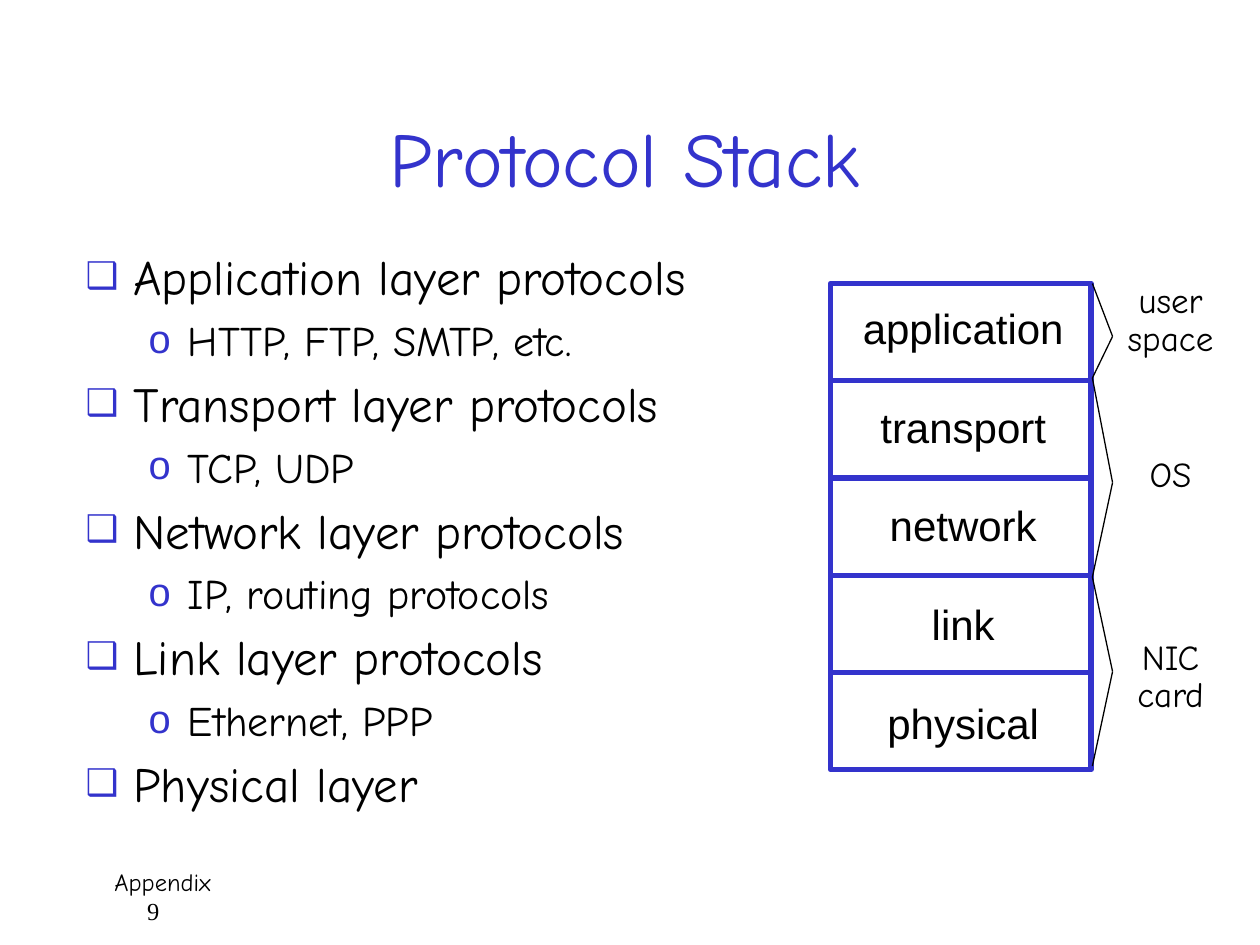
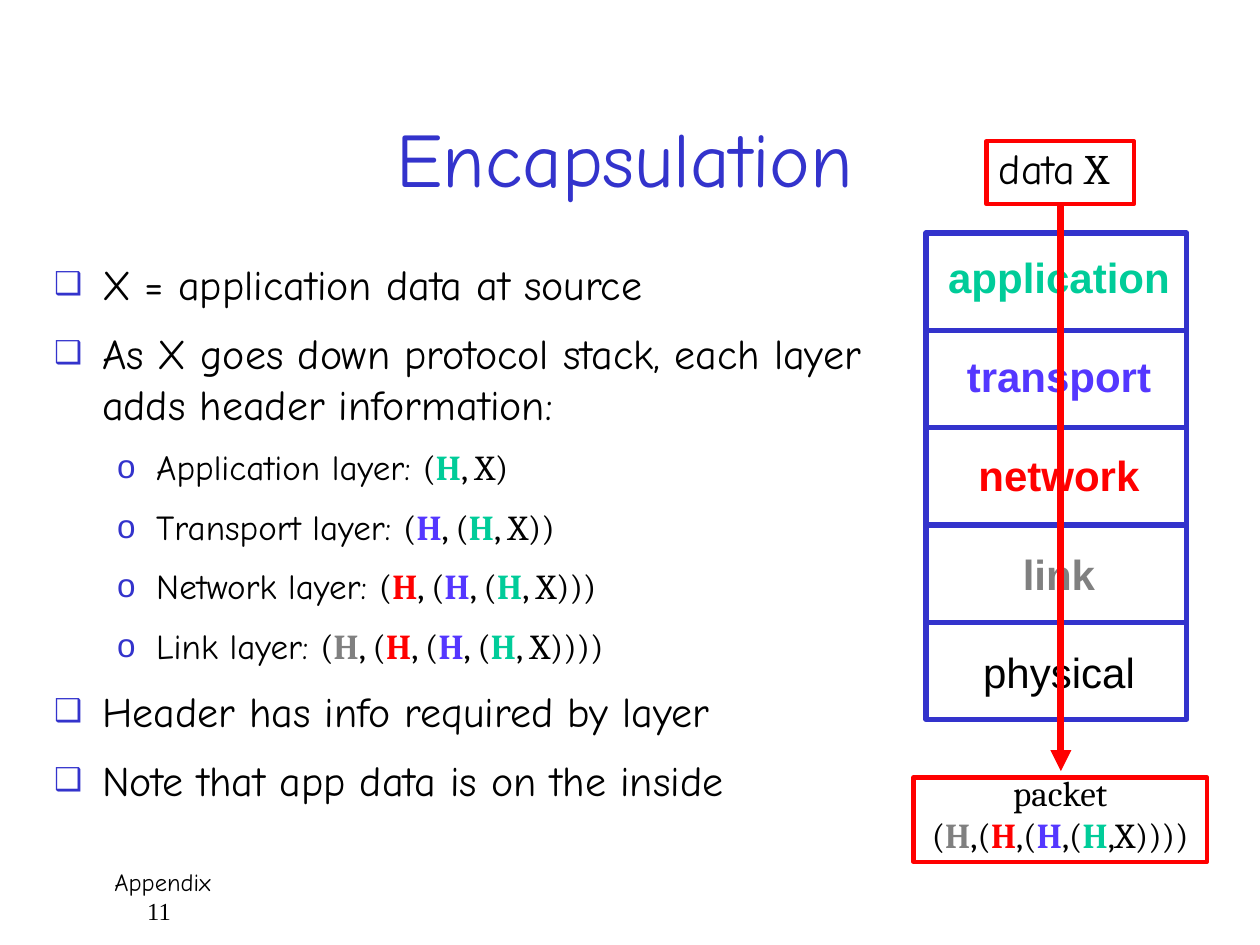
from dataclasses import dataclass
from itertools import pairwise
from typing import NamedTuple

from lxml import etree
from pptx import Presentation
from pptx.dml.color import RGBColor
from pptx.enum import shapes, text
from pptx.oxml import ns
from pptx.util import Inches, Pt


@dataclass(frozen=True)
class Theme:
    """Colours, fonts and type sizes shared by all slides."""
    blue: str = "3333CC"
    black: str = "000000"
    white: str = "FFFFFF"
    red: str = "FF0000"
    green: str = "00CC99"
    violet: str = "5437FF"
    grey: str = "808080"
    hand: str = "Comic Neue"
    sans: str = "Arial"
    serif: str = "Times New Roman"
    formula: str = "Cambria"
    title: int = 44
    large: int = 28
    medium: int = 24
    small: int = 20
    footer: int = 14


THEME = Theme()


class Span(NamedTuple):
    text: str
    color: str = THEME.black
    font: str = THEME.hand
    bold: bool = False


class Area(NamedTuple):
    left: float
    top: float
    width: float
    height: float

    def lengths(self) -> list:
        return [Inches(value) for value in self]


class Bullet(NamedTuple):
    char: str
    percent: int
    margin: float
    hanging: float


class Item(NamedTuple):
    level: int
    spans: list


class Bracket(NamedTuple):
    tip: float
    bottom: float


BULLETS = [Bullet("\u2751", 75, 0.38, 0.38), Bullet("o", 95, 0.81, 0.31)]
TITLE_AREA = Area(0.25, 0.58, 9.42, 1.33)
FOOTER_AREA = Area(0.75, 6.83, 8.58, 0.5)
LAYERS = ["application", "transport", "network", "link", "physical"]
LAYER_COLORS = [THEME.green, THEME.violet, THEME.red, THEME.grey]
STACK_WIDTH, STACK_HEIGHT = 2.07, 3.86
CENTER = text.PP_ALIGN.CENTER


# Text
def write(para, spans: list, *, size: float, align=None, spacing=None,
          before=None, after=None) -> None:
    """Fill one paragraph with formatted spans."""
    if align is not None:
        para.alignment = align
    if spacing is not None:
        para.line_spacing = spacing
    if before is not None:
        para.space_before = Pt(before)
    if after is not None:
        para.space_after = Pt(after)
    for span in spans:
        run = para.add_run()
        run.text = span.text
        run.font.size = Pt(size)
        run.font.name = span.font
        run.font.bold = span.bold
        run.font.color.rgb = RGBColor.from_string(span.color)


def add_text(page, area: Area, lines: list, *, wrap: bool = False,
             gap: float = 0, **form):
    """Add a text box with one paragraph per line, gap points apart."""
    box = page.shapes.add_textbox(*area.lengths())
    box.text_frame.word_wrap = wrap
    for index, spans in enumerate(lines):
        para = box.text_frame.paragraphs[0] if index == 0 else box.text_frame.add_paragraph()
        write(para, spans, before=gap if index else 0, **form)
    return box


def set_indent(para, margin: float, hanging: float = 0):
    props = para._p.get_or_add_pPr()
    props.set("marL", str(Inches(margin)))
    props.set("indent", str(-Inches(hanging)))
    return props


def set_bullet(para, bullet: Bullet) -> None:
    props = set_indent(para, bullet.margin, bullet.hanging)
    color = etree.SubElement(props, ns.qn("a:buClr"))
    etree.SubElement(color, ns.qn("a:srgbClr"), val=THEME.blue)
    etree.SubElement(props, ns.qn("a:buSzPct"), val=str(bullet.percent * 1000))
    etree.SubElement(props, ns.qn("a:buChar"), char=bullet.char)


def headers(count: int, comma: str) -> list[Span]:
    """Data X wrapped in the headers of the first count layers."""
    spans = []
    for index, color in enumerate(reversed(LAYER_COLORS[:count])):
        spans.append(Span(f"{comma}(" if index else "(", font=THEME.formula))
        spans.append(Span("H", color, THEME.formula, True))
    return spans + [Span(f"{comma}X" + ")" * count, font=THEME.formula)]


# Lines and boxes
def add_line(page, start: tuple, end: tuple, color: str, width: float,
             arrow: bool = False) -> None:
    line = page.shapes.add_connector(
        shapes.MSO_CONNECTOR.STRAIGHT, *(Inches(value) for value in (*start, *end)))
    line.line.color.rgb = RGBColor.from_string(color)
    line.line.width = Pt(width)
    props = line._element.spPr
    if arrow:
        etree.SubElement(props.find(ns.qn("a:ln")), ns.qn("a:tailEnd"), type="triangle")
    etree.SubElement(props, ns.qn("a:effectLst"))


def add_frame(page, area: Area, color: str, width: float, fill: str | None = None) -> None:
    frame = page.shapes.add_shape(shapes.MSO_SHAPE.RECTANGLE, *area.lengths())
    frame.shadow.inherit = False
    frame.line.color.rgb = RGBColor.from_string(color)
    frame.line.width = Pt(width)
    if fill:
        frame.fill.solid()
        frame.fill.fore_color.rgb = RGBColor.from_string(fill)
    else:
        frame.fill.background()


def add_stack(page, left: float, top: float, colors: list[str]) -> None:
    """Draw the five layers; layers with a colour are set bold."""
    area = Area(left, top, STACK_WIDTH, STACK_HEIGHT)
    add_frame(page, area, THEME.blue, 3, THEME.white)
    labels = []
    for index, name in enumerate(LAYERS):
        colored = index < len(colors)
        color = colors[index] if colored else THEME.black
        labels.append([Span(name, color, THEME.sans, colored)])
    add_text(page, Area(left + 0.02, top + 0.1, STACK_WIDTH, 3.69), labels,
             size=THEME.medium, align=CENTER, gap=THEME.medium * 1.15)
    for index in range(1, len(LAYERS)):
        y = top + index * STACK_HEIGHT / len(LAYERS)
        add_line(page, (left - 0.01, y), (left + STACK_WIDTH - 0.01, y), THEME.blue, 3)


# Shared page parts
def add_page(deck, title: str, number: int, body_area: Area, items: list[Item],
             sizes: tuple, spacing: float):
    page = deck.slides.add_slide(deck.slide_layouts[1])
    heading, body = page.placeholders
    for holder, area in ((heading, TITLE_AREA), (body, body_area)):
        holder.left, holder.top, holder.width, holder.height = area.lengths()
        holder.text_frame.auto_size = text.MSO_AUTO_SIZE.NONE
    heading.text_frame.vertical_anchor = text.MSO_ANCHOR.MIDDLE
    write(heading.text_frame.paragraphs[0], [Span(title, THEME.blue)],
          size=THEME.title, align=CENTER)

    for index, item in enumerate(items):
        para = body.text_frame.paragraphs[0] if index == 0 else body.text_frame.add_paragraph()
        para.level = item.level
        write(para, item.spans, size=sizes[item.level], spacing=spacing, after=6)
        set_bullet(para, BULLETS[item.level])

    footer = add_text(page, FOOTER_AREA,
                      [[Span("Appendix")], [Span(str(number), font=THEME.serif)]],
                      size=THEME.footer, wrap=True)
    for para, margin in zip(footer.text_frame.paragraphs, (0.06, 0.32)):
        set_indent(para, margin)
    return page


def build_protocol_stack(deck) -> None:
    topics = [("Application layer protocols", "HTTP, FTP, SMTP, etc."),
              ("Transport layer protocols", "TCP, UDP"),
              ("Network layer protocols", "IP, routing protocols"),
              ("Link layer protocols", "Ethernet, PPP"),
              ("Physical layer",)]
    items = [Item(level, [Span(words)])
             for topic in topics for level, words in enumerate(topic)]
    page = add_page(deck, "Protocol Stack", 9, Area(0.58, 2, 5.5, 4.58), items,
                    (THEME.large, THEME.medium), 0.8)
    add_stack(page, 6.59, 2.25, [])

    # Brackets that show where each layer lives
    points = [(8.67, 2.25)]
    for bracket in (Bracket(2.67, 3), Bracket(3.83, 4.58), Bracket(5.33, 6.08)):
        points += [(8.83, bracket.tip), (8.67, bracket.bottom)]
    for start, end in pairwise(points):
        add_line(page, start, end, THEME.black, 0.75)
    for words, top in ((("user", "space"), 2.2), (("OS",), 3.58), (("NIC", "card"), 5.03)):
        add_text(page, Area(8.83, top, 0.92, 0.1 + 0.35 * len(words)),
                 [[Span(word)] for word in words],
                 size=THEME.small, align=CENTER, spacing=0.9)


def build_encapsulation(deck) -> None:
    items = [Item(0, [Span("X = application data at source")]),
             Item(0, [Span("As X goes down protocol stack, each layer "
                           "adds header information:")])]
    items += [Item(1, [Span(f"{name.capitalize()} layer: "), *headers(count, ", ")])
              for count, name in enumerate(LAYERS[:4], 1)]
    items += [Item(0, [Span("Header has info required by layer")]),
              Item(0, [Span("Note that app data is on the inside")])]
    page = add_page(deck, "Encapsulation", 11, Area(0.33, 2, 6.67, 4.67), items,
                    (THEME.medium, THEME.small), 1.0)
    add_stack(page, 7.35, 1.85, LAYER_COLORS)

    # Data going down the stack and leaving as a packet
    add_text(page, Area(7.83, 1.08, 1.21, 0.57),
             [[Span("data"), Span(" X", font=THEME.formula)]], size=THEME.medium)
    add_line(page, (8.42, 1.62), (8.42, 6.12), THEME.red, 4, arrow=True)
    add_text(page, Area(7.08, 6.07, 2.67, 0.77),
             [[Span("packet", font=THEME.formula)], headers(4, ",")],
             size=THEME.small, align=CENTER, wrap=True)
    for area in (Area(7.83, 1.12, 1.17, 0.5), Area(7.25, 6.17, 2.33, 0.67)):
        add_frame(page, area, THEME.red, 2.5)


deck = Presentation()
deck.slide_width, deck.slide_height = Inches(10), Inches(7.5)
build_protocol_stack(deck)
build_encapsulation(deck)
deck.save("out.pptx")
